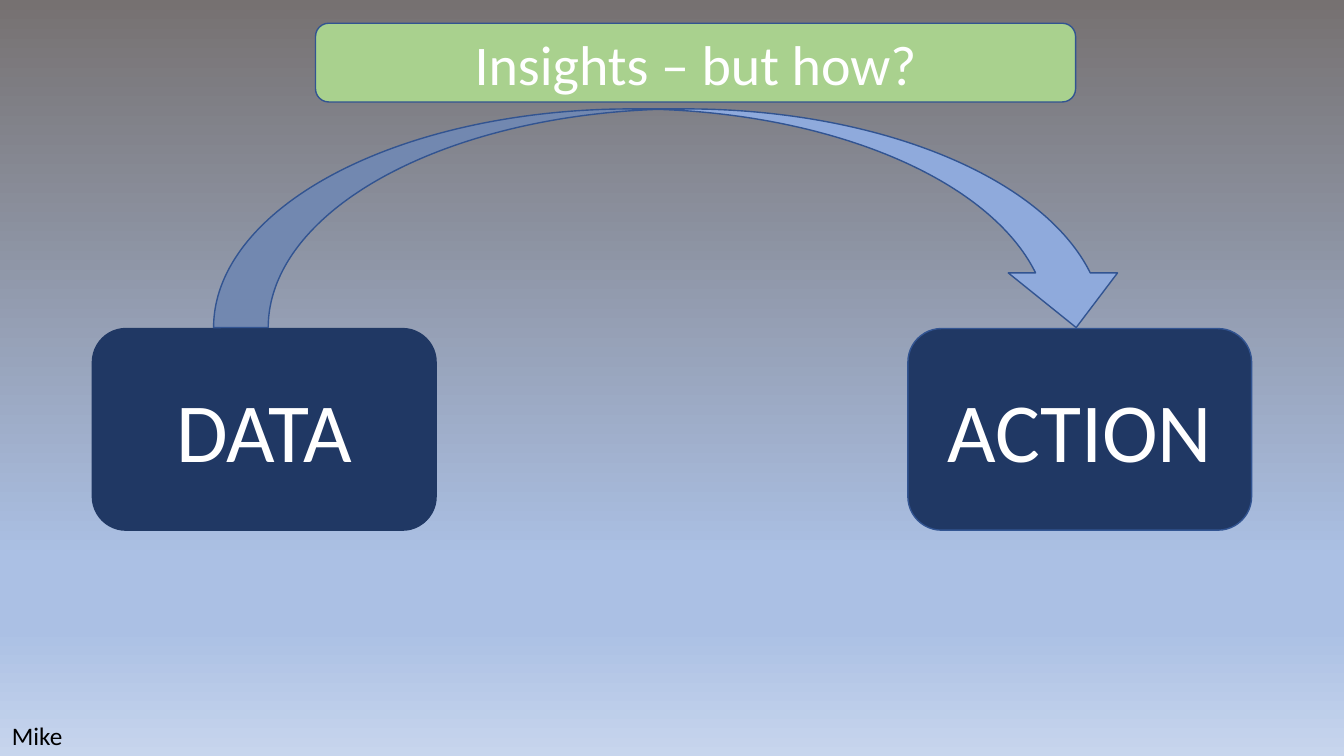
from copy import deepcopy

from pptx import Presentation
from pptx.dml.color import RGBColor
from pptx.enum.shapes import MSO_SHAPE
from pptx.enum.text import MSO_ANCHOR, MSO_AUTO_SIZE, PP_ALIGN
from pptx.oxml.ns import qn
from pptx.util import Pt

NAVY = RGBColor(0x20, 0x38, 0x64)
OUTLINE = RGBColor(0x32, 0x54, 0x91)
ARROW_BLUE = RGBColor(0x8F, 0xAA, 0xDC)
GREEN = RGBColor(0xA9, 0xD1, 0x8E)
WHITE = RGBColor(0xFF, 0xFF, 0xFF)
BLACK = RGBColor(0x00, 0x00, 0x00)
GREY = RGBColor(0x76, 0x71, 0x71)
SKY = RGBColor(0xAB, 0xC0, 0xE4)
PALE = RGBColor(0xC7, 0xD5, 0xED)

PAGE_WIDTH, PAGE_HEIGHT = 960, 540


class SlideBuilder:
    """Holds the style and the current slide."""

    font_name = "Calibri"
    line_width = 1

    def __init__(self, page):
        self.page = page

    def background(self, stops):
        fill = self.page.background.fill
        fill.gradient()
        fill.gradient_angle = 270
        stop_list = next(self.page.element.iter(qn("a:gsLst")))
        while len(stop_list) < len(stops):
            stop_list.append(deepcopy(stop_list[0]))
        for stop, (position, color) in zip(fill.gradient_stops, stops):
            stop.position = position
            stop.color.rgb = color

    def add_text(self, box, text, size, color, align):
        para = box.text_frame.paragraphs[0]
        para.alignment = align
        span = para.add_run()
        span.text = text
        span.font.color.rgb = color
        for name, value in {"name": self.font_name, "size": Pt(size)}.items():
            setattr(span.font, name, value)

    def shape(self, kind, bounds, fill, line=OUTLINE, text=None, size=None):
        box = self.page.shapes.add_shape(kind, *map(Pt, bounds))
        box.shadow.inherit = False
        box.fill.solid()
        box.fill.fore_color.rgb = fill
        box.line.color.rgb = line
        box.line.width = Pt(self.line_width)
        if text:
            box.text_frame.vertical_anchor = MSO_ANCHOR.MIDDLE
            self.add_text(box, text, size, WHITE, PP_ALIGN.CENTER)

    def label(self, bounds, text, size):
        box = self.page.shapes.add_textbox(*map(Pt, bounds))
        frame_format = {"word_wrap": True, "auto_size": MSO_AUTO_SIZE.SHAPE_TO_FIT_TEXT}
        for name, value in frame_format.items():
            setattr(box.text_frame, name, value)
        self.add_text(box, text, size, BLACK, PP_ALIGN.LEFT)


def main():
    deck = Presentation()
    deck.slide_width, deck.slide_height = Pt(PAGE_WIDTH), Pt(PAGE_HEIGHT)
    builder = SlideBuilder(deck.slides.add_slide(deck.slide_layouts[6]))
    builder.background([(0, GREY), (0.74, SKY), (0.83, SKY), (1, PALE)])

    # Start and end boxes, mirrored about the page centre
    margin, top, width, height = 66, 234.7, 245.5, 144
    ends = [("DATA", margin, NAVY), ("ACTION", PAGE_WIDTH - margin - width, OUTLINE)]
    for text, left, line in ends:
        builder.shape(MSO_SHAPE.ROUNDED_RECTANGLE, (left, top, width, height),
                      NAVY, line, text, 60)

    # Arrow from data to action
    builder.shape(MSO_SHAPE.CURVED_DOWN_ARROW, (152.6, 77.8, 655.2, 156.2), ARROW_BLUE)

    # Banner above the arrow
    builder.shape(MSO_SHAPE.ROUNDED_RECTANGLE, (225.4, 16.6, 542.9, 56.2), GREEN,
                  text="Insights – but how?", size=40)

    # Presenter
    builder.label((1.4, 511.2, 67.7, 28.8), "Mike", 18)

    deck.save("out.pptx")


if __name__ == "__main__":
    main()
